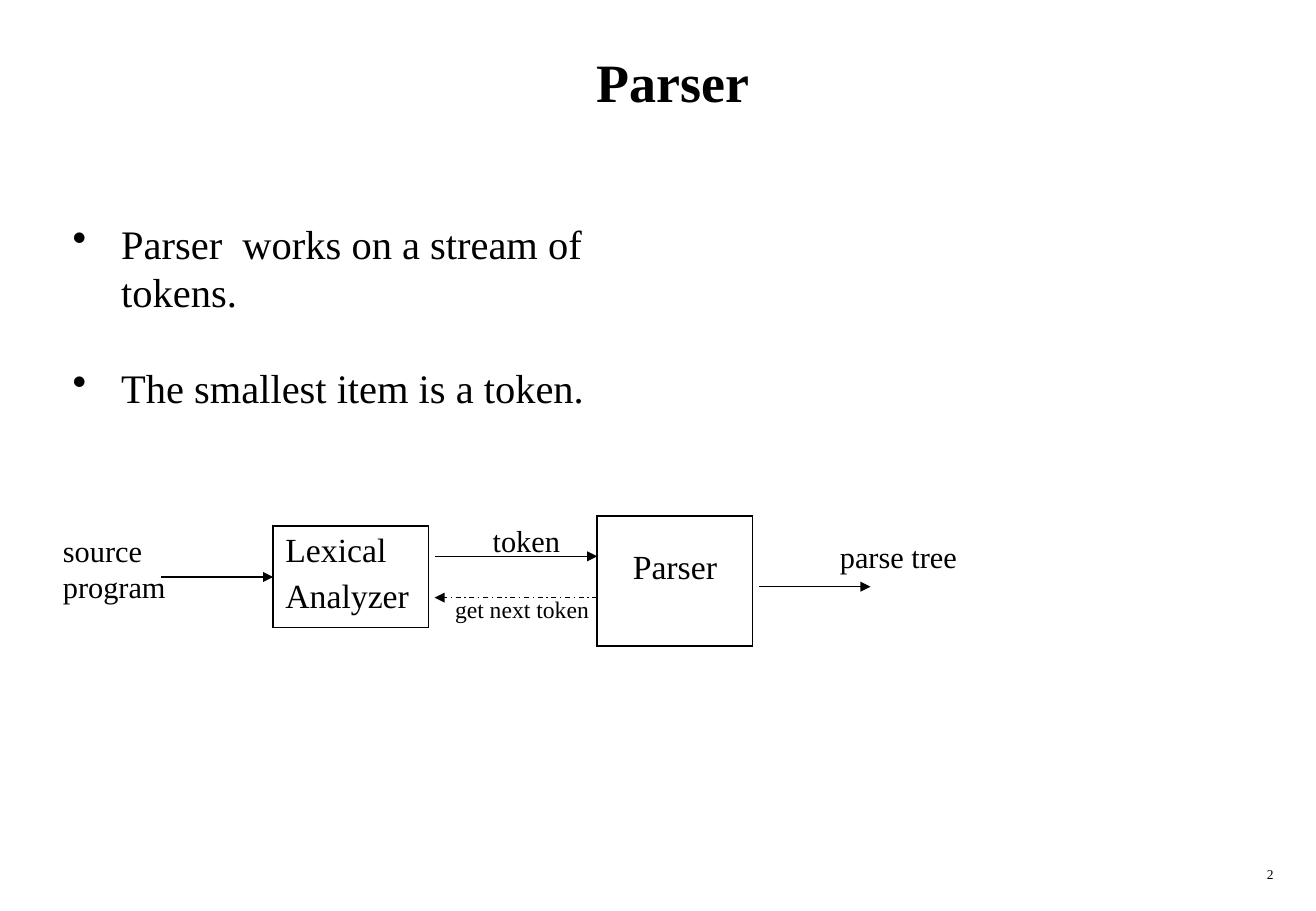
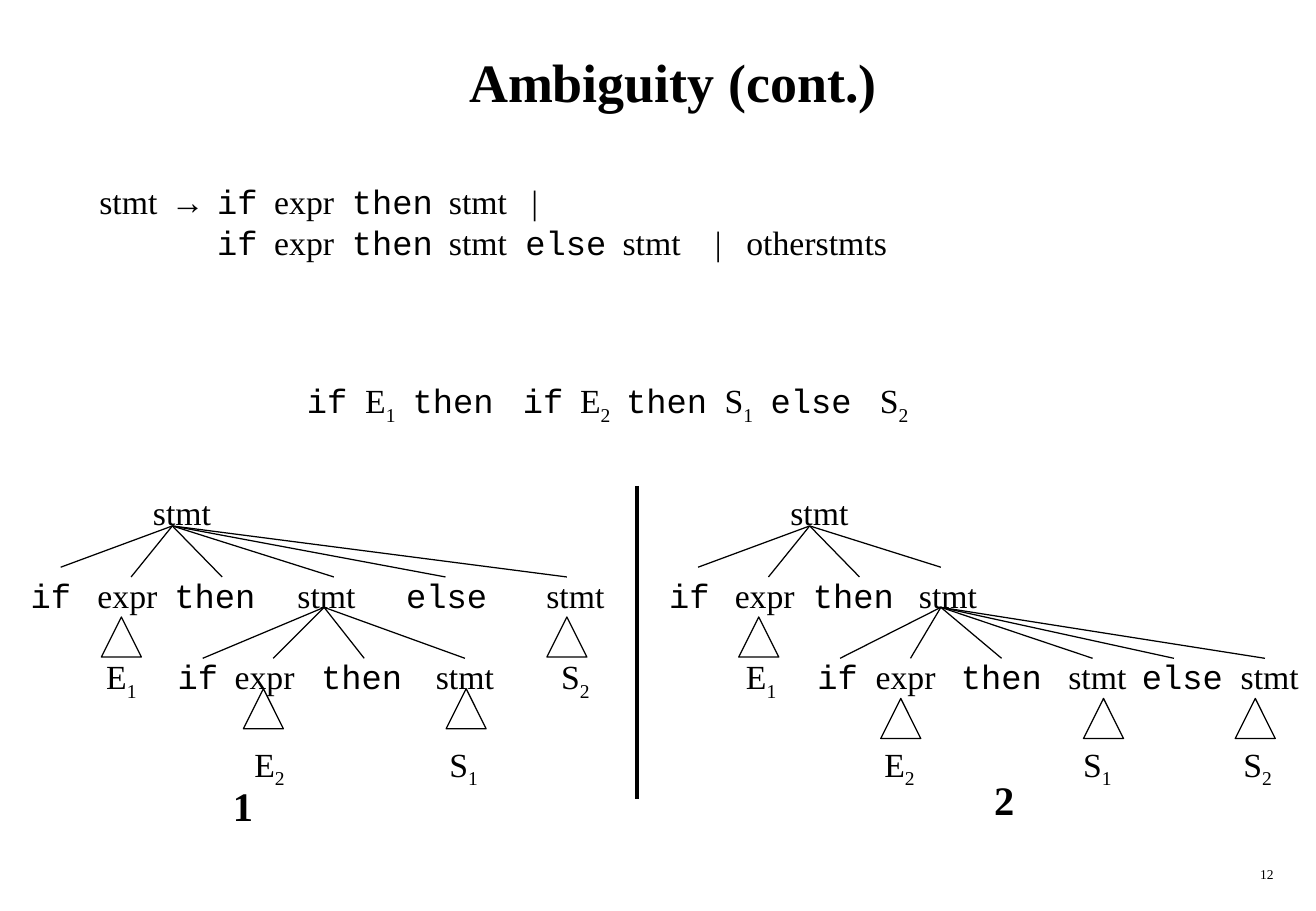
from dataclasses import dataclass

from lxml.etree import SubElement
from pptx import Presentation
from pptx.dml.color import RGBColor
from pptx.enum.dml import MSO_LINE
from pptx.enum.shapes import MSO_CONNECTOR, MSO_SHAPE
from pptx.enum.text import MSO_ANCHOR, MSO_AUTO_SIZE, PP_ALIGN
from pptx.oxml.ns import qn
from pptx.util import Inches, Pt

BLACK = RGBColor(0, 0, 0)
WHITE = RGBColor(255, 255, 255)
SERIF, MONO, SANS = "Times New Roman", "Courier New", "Arial"
KEYWORDS = ("if", "then", "else")
TITLE_ONLY = 5


@dataclass
class ParseTree:
    """Label rows, fans of edges and triangles, in inches from the tree's corner."""
    rows: list
    fans: list
    triangles: list


ROW_TOPS = (0.13, 0.81, 1.48, 2.2)
LABEL_WIDTH, LABEL_HEIGHT, TRIANGLE_SIDE = 0.7, 0.32, 0.33

ELSE_OUTSIDE = ParseTree(
    rows=[
        [("stmt", 1.33)],
        [("if", 0.25), ("expr", 0.88), ("then", 1.6), ("stmt", 2.52),
         ("else", 3.51), ("stmt", 4.57)],
        [("E1", 0.83), ("if", 1.46), ("expr", 2.01), ("then", 2.81),
         ("stmt", 3.66), ("S2", 4.57)],
        [("E2", 2.05), ("S1", 3.65)],
    ],
    fans=[
        ((1.25, 0.41), [(0.33, 0.75), (0.91, 0.83), (1.66, 0.83),
                        (2.58, 0.83), (3.5, 0.83), (4.5, 0.83)]),
        ((2.5, 1.08), [(x, 1.5) for x in (1.5, 2.08, 2.83, 3.66)]),
    ],
    triangles=[(0.83, 1.16), (4.5, 1.16), (2, 1.75), (3.67, 1.75)],
)
ELSE_INSIDE = ParseTree(
    rows=[
        [("stmt", 1.33)],
        [("if", 0.26), ("expr", 0.88), ("then", 1.61), ("stmt", 2.39)],
        [("E1", 0.85), ("if", 1.48), ("expr", 2.04), ("then", 2.83),
         ("stmt", 3.62), ("else", 4.32), ("stmt", 5.04)],
        [("E2", 1.99), ("S1", 3.62), ("S2", 4.94)],
    ],
    fans=[
        ((1.25, 0.41), [(0.33, 0.75), (0.91, 0.83), (1.66, 0.83), (2.33, 0.75)]),
        ((2.33, 1.08), [(x, 1.5) for x in (1.5, 2.08, 2.83, 3.58, 4.25, 5)]),
    ],
    triangles=[(0.83, 1.16), (2, 1.83), (3.67, 1.83), (4.92, 1.83)],
)


def styled_pieces(line):
    """Split a line at tabs into (text, font, subscript) pieces."""
    for index, word in enumerate(line.split("\t")):
        if index:
            yield "\t", SERIF, False
        if len(word) == 2 and word[0] in "ES" and word[1].isdigit():
            yield word[0], SERIF, False
            yield word[1], SERIF, True
        elif word:
            font = MONO if word in KEYWORDS else SANS if word == "→" else SERIF
            yield word, font, False


def write_text(frame, text, size=20, bold=False, align=PP_ALIGN.LEFT,
               space_before=0, hanging=None, tab_stops=()):
    """Fill a frame, one paragraph a line; hanging gives bullets and their indent."""
    frame.word_wrap = True
    for index, line in enumerate(text.split("\n")):
        paragraph = frame.paragraphs[0] if index == 0 else frame.add_paragraph()
        paragraph.alignment = align
        if index:
            paragraph.space_before = Pt(space_before)
        properties = paragraph._p.get_or_add_pPr()
        if hanging:
            properties.set("marL", str(Inches(hanging)))
            properties.set("indent", str(-Inches(hanging)))
            SubElement(properties, qn("a:buChar"), char="•")
        if tab_stops:
            stops = SubElement(properties, qn("a:tabLst"))
            for stop in tab_stops[index]:
                SubElement(stops, qn("a:tab"), pos=str(Inches(stop)), algn="l")
        for piece, font, subscript in styled_pieces(line):
            run = paragraph.add_run()
            run.text = piece
            run.font.name = font
            run.font.size = Pt(size)
            run.font.bold = bold
            run.font.color.rgb = BLACK
            if subscript:
                run.font._element.set("baseline", "-25000")


def add_text(slide, left, top, width, height, text, inset=True, **text_format):
    box = slide.shapes.add_textbox(
        Inches(left), Inches(top), Inches(width), Inches(height))
    frame = box.text_frame
    if not inset:
        frame.margin_left = frame.margin_right = 0
        frame.margin_top = frame.margin_bottom = 0
    write_text(frame, text, **text_format)


def add_line(slide, start, end, weight=0.75, arrow=False, dash=None):
    line = slide.shapes.add_connector(
        MSO_CONNECTOR.STRAIGHT, *(Inches(value) for value in (*start, *end)))
    line.line.color.rgb = BLACK
    line.line.width = Pt(weight)
    if dash:
        line.line.dash_style = dash
    if arrow:
        SubElement(line.line._get_or_add_ln(), qn("a:tailEnd"), type="triangle")
    SubElement(line._element.spPr, qn("a:effectLst"))


def add_stage(slide, left, top, width, height, text, margin_top=0.05, **text_format):
    """A one-cell bordered table naming a stage of the compiler."""
    table = slide.shapes.add_table(
        1, 1, Inches(left), Inches(top), Inches(width), Inches(height)).table
    table.first_row = table.horz_banding = False
    cell = table.cell(0, 0)
    cell.margin_top = Inches(margin_top)
    write_text(cell.text_frame, text, **text_format)
    properties = cell._tc.get_or_add_tcPr()
    for side in ("lnL", "lnR", "lnT", "lnB"):
        border = SubElement(properties, qn(f"a:{side}"), w=str(Pt(1.08)))
        fill = SubElement(border, qn("a:solidFill"))
        SubElement(fill, qn("a:srgbClr"), val=str(BLACK))
    cell.fill.background()


def new_slide(deck, title, number):
    slide = deck.slides.add_slide(deck.slide_layouts[TITLE_ONLY])
    slide.background.fill.solid()
    slide.background.fill.fore_color.rgb = WHITE
    heading = slide.shapes.title
    heading.left, heading.top = Inches(0.42), Inches(0.17)
    heading.width, heading.height = Inches(10.25), Inches(1)
    frame = heading.text_frame
    frame.auto_size = MSO_AUTO_SIZE.NONE
    frame.vertical_anchor = MSO_ANCHOR.MIDDLE
    write_text(frame, title, size=32, bold=True, align=PP_ALIGN.CENTER)
    add_text(slide, 8.33, 7.08, 2.26, 0.25, number, size=8, align=PP_ALIGN.RIGHT)
    return slide


def draw_pipeline(slide, left, top):
    """Source program to lexical analyzer to parser to parse tree."""
    add_stage(slide, left + 1.83, top + 0.08, 1.28, 0.83, "Lexical\nAnalyzer",
              space_before=5)
    add_stage(slide, left + 4.5, top, 1.28, 1.07, "Parser",
              margin_top=0.27, align=PP_ALIGN.CENTER)
    captions = [
        (0, 0.08, 1.1, 0.7, "source\nprogram", 18),
        (3.54, 0, 0.9, 0.4, "token", 18),
        (3.23, 0.6, 1.4, 0.34, "get next token", 14),
        (6.4, 0.13, 1.25, 0.4, "parse tree", 18),
    ]
    for x, y, width, height, text, size in captions:
        add_text(slide, left + x, top + y, width, height, text, size=size)
    arrows = [
        (0.91, 1.83, 0.5, None),
        (3.16, 4.5, 0.33, None),
        (4.5, 3.16, 0.67, MSO_LINE.DASH_DOT),
        (5.83, 6.75, 0.58, None),
    ]
    for start, end, y, dash in arrows:
        add_line(slide, (left + start, top + y), (left + end, top + y),
                 arrow=True, dash=dash)


def draw_tree(slide, left, top, tree):
    for row_top, row in zip(ROW_TOPS, tree.rows):
        for word, centre in row:
            add_text(slide, left + centre - LABEL_WIDTH / 2, top + row_top,
                     LABEL_WIDTH, LABEL_HEIGHT, word, inset=False,
                     align=PP_ALIGN.CENTER)
    for (apex_x, apex_y), ends in tree.fans:
        for x, y in ends:
            add_line(slide, (left + apex_x, top + apex_y), (left + x, top + y))
    for centre, y in tree.triangles:
        triangle = slide.shapes.add_shape(
            MSO_SHAPE.ISOSCELES_TRIANGLE,
            Inches(left + centre - TRIANGLE_SIDE / 2), Inches(top + y),
            Inches(TRIANGLE_SIDE), Inches(TRIANGLE_SIDE))
        triangle.shadow.inherit = False
        triangle.fill.background()
        triangle.line.color.rgb = BLACK
        triangle.line.width = Pt(0.75)


def build_parser_slide(deck):
    slide = new_slide(deck, "Parser", "2")
    add_text(slide, 0.5, 1.75, 5.31, 1.7,
             "Parser  works on a stream of tokens.\nThe smallest item is a token.",
             size=24, hanging=0.4, space_before=28)
    draw_pipeline(slide, 0.42, 4.25)


def build_ambiguity_slide(deck):
    slide = new_slide(deck, "Ambiguity (cont.)", "12")
    shared_stops = (0.97, 1.44, 2.08, 2.88)
    add_text(slide, 0.72, 1.44, 7, 0.77,
             "stmt\t→\tif\texpr\tthen\tstmt\t|\n"
             "\tif\texpr\tthen\tstmt\telse\tstmt\t|\totherstmts",
             tab_stops=[(0.59, *shared_stops, 3.56),
                        (*shared_stops, 3.51, 4.31, 5.07, 5.33)])
    add_text(slide, 2.43, 3.08, 5.4, 0.48,
             "if\tE1\tthen\tif\tE2\tthen\tS1\telse\tS2",
             tab_stops=[(0.48, 0.87, 1.78, 2.25, 2.63, 3.44, 3.82, 4.72)])
    draw_tree(slide, 0.17, 3.92, ELSE_OUTSIDE)
    draw_tree(slide, 5.42, 3.92, ELSE_INSIDE)
    add_line(slide, (5.25, 4), (5.25, 6.58), weight=2.25)
    for left, top, tree_number in ((1.82, 6.38, "1"), (8.09, 6.33, "2")):
        add_text(slide, left, top, 0.4, 0.5, tree_number, size=24, bold=True)


def main():
    deck = Presentation()
    deck.slide_width, deck.slide_height = Inches(10.84), Inches(7.5)
    build_parser_slide(deck)
    build_ambiguity_slide(deck)
    deck.save("out.pptx")


if __name__ == "__main__":
    main()
